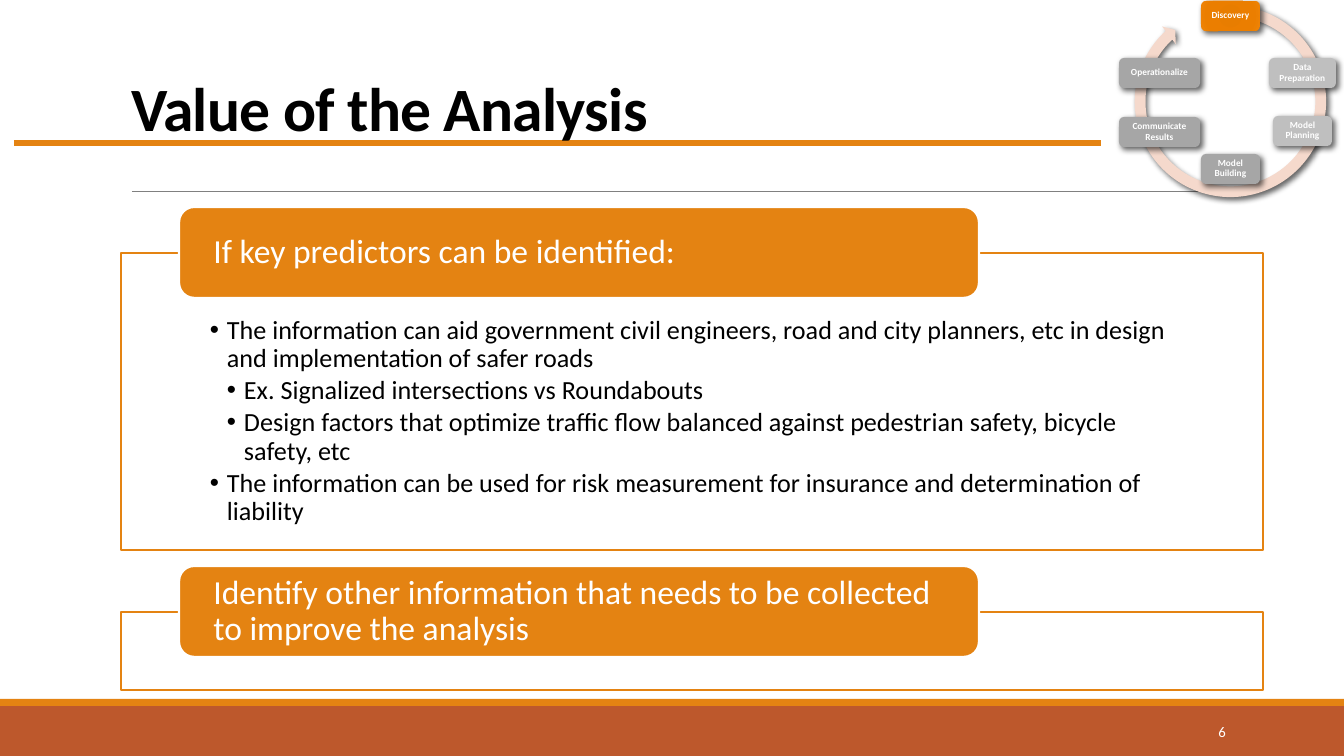
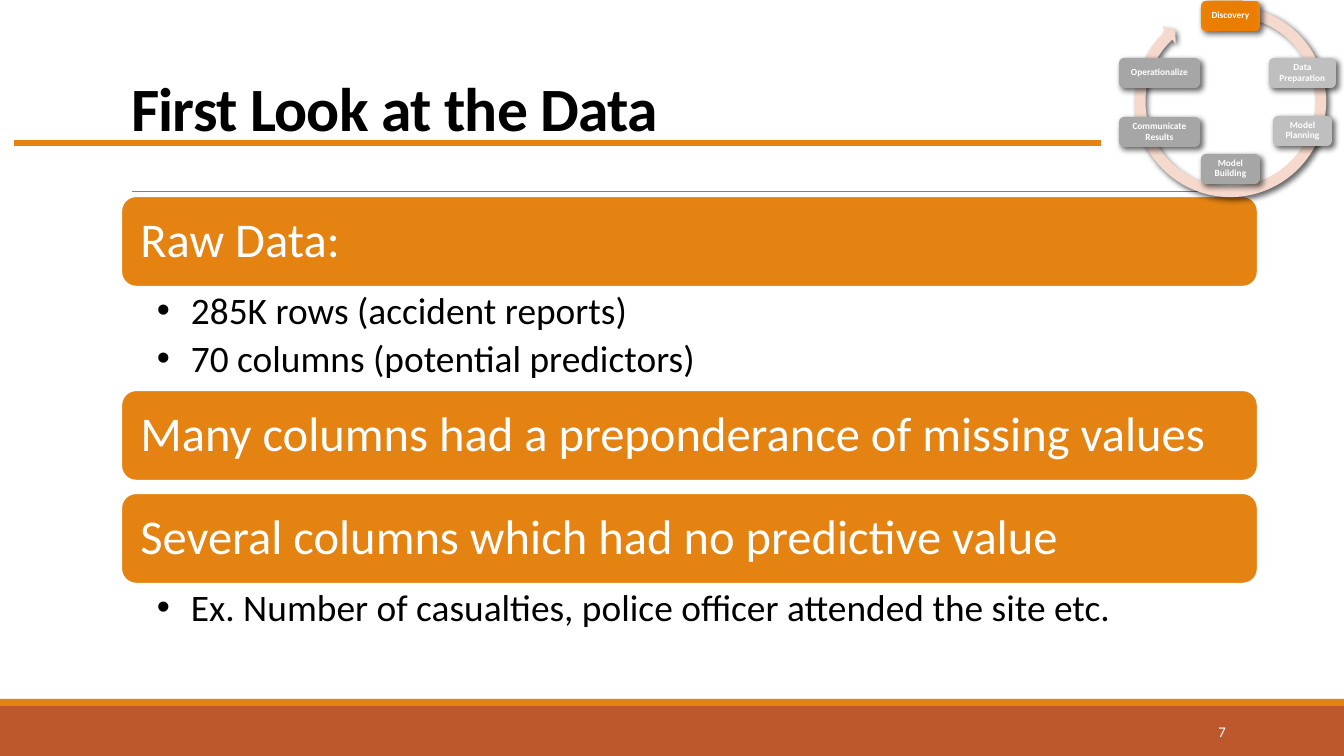
from dataclasses import dataclass
from typing import NamedTuple

from lxml import etree
from pptx import Presentation
from pptx.dml.color import RGBColor
from pptx.enum.shapes import MSO_CONNECTOR, MSO_SHAPE
from pptx.enum.text import MSO_ANCHOR, PP_ALIGN
from pptx.oxml import parse_xml
from pptx.oxml.ns import nsdecls, qn
from pptx.util import Pt

RECT = MSO_SHAPE.RECTANGLE
ROUND_RECT = MSO_SHAPE.ROUNDED_RECTANGLE
CIRCULAR_ARROW = MSO_SHAPE.CIRCULAR_ARROW
STRAIGHT = MSO_CONNECTOR.STRAIGHT
TOP, MIDDLE = MSO_ANCHOR.TOP, MSO_ANCHOR.MIDDLE
LEFT, CENTER, RIGHT = PP_ALIGN.LEFT, PP_ALIGN.CENTER, PP_ALIGN.RIGHT

SLIDE_W, SLIDE_H = 1344, 756
SCALE = 9144000 / SLIDE_W
FONT = "Calibri"
COLORS = {
    "accent": "E48312",
    "band": "BD582C",
    "rule": "808080",
    "black": "000000",
    "white": "FFFFFF",
    "ring": "F5D9CC",
    "active": "E87D00",
    "next": "BFBFBF",
    "later": "A6A6A6",
}
ACTIVE_STOPS = ((0, "E57B00"), (34, "E87D00"), (70, "EB7E00"), (100, "EF8407"))


class Box(NamedTuple):
    left: int
    top: int
    width: int
    height: int


class Insets(NamedTuple):
    left: int
    top: int
    right: int
    bottom: int


class Rule(NamedTuple):
    start: int
    end: int
    y: int
    color: str
    weight: float


class Node(NamedTuple):
    text: str
    box: Box
    color: str


@dataclass(frozen=True)
class TextStyle:
    size: float
    color: str
    insets: Insets
    anchor: MSO_ANCHOR = MIDDLE
    align: PP_ALIGN = LEFT
    bold: bool = False
    line_spacing: float = 0.9
    space_after: int = 0
    tracking: int = 0
    hang: int = 0


class Item(NamedTuple):
    text: str
    level: int = 0


@dataclass(frozen=True)
class Panel:
    heading: str
    top: int
    height: int
    items: tuple[Item, ...] = ()


@dataclass(frozen=True)
class Section:
    heading: str
    space_below: int
    items: tuple[Item, ...] = ()


FRAME_INSETS = Insets(10, 5, 10, 5)
TITLE = TextStyle(33, "black", FRAME_INSETS, bold=True, tracking=-40)
NUMBER = TextStyle(7.9, "white", FRAME_INSETS, align=RIGHT, line_spacing=1)
NODE = TextStyle(5, "white", Insets(3, 3, 3, 3), align=CENTER, bold=True)
PANEL_HEADING = TextStyle(18, "white", Insets(30, 0, 30, 0))
PANEL_BODY = TextStyle(14, "black", Insets(89, 64, 89, 15), TOP,
                       space_after=2, hang=17)
BAR = TextStyle(26, "white", Insets(15, 15, 15, 15))
BAR_BODY = TextStyle(20, "black", Insets(36, 5, 27, 5), TOP,
                     space_after=4, hang=34)

BANDS = (
    (Box(0, 706, SLIDE_W, 50), "band"),
    (Box(0, 699, SLIDE_W, 7), "accent"),
)
RULES = (
    Rule(132, 1230, 192, "rule", 0.5),
    Rule(14, 1101, 143, "accent", 3),
)
TITLE_BOX = Box(121, 32, 1109, 160)
NUMBER_BOX = Box(1091, 712, 145, 40)
RING_BOX = Box(1129, 0, 203, 203)
RING_ROTATION = 343.2
RING_ADJUSTMENTS = (0.053, 3.126, 146.344, 168.929, 0.055)
NODES = (
    Node("Discovery", Box(1201, 1, 59, 30), "active"),
    Node("Data Preparation", Box(1269, 58, 67, 30), "next"),
    Node("Model Planning", Box(1273, 116, 59, 30), "next"),
    Node("Model Building", Box(1201, 154, 59, 30), "later"),
    Node("Communicate Results", Box(1119, 117, 81, 30), "later"),
    Node("Operationalize", Box(1119, 58, 81, 30), "later"),
)
CONTENT_LEFT = 121
PANEL_W, BAR_W, BAR_H = 1142, 1137, 91
HEADING_LEFT, HEADING_W, HEADING_RISE = 179, 800, 46
FIRST_BAR_TOP = 196

PANELS = (
    Panel("If key predictors can be identified:", 253, 297, (
        Item("The information can aid government civil engineers, road and "
             "city planners, etc in design and implementation of safer roads"),
        Item("Ex. Signalized intersections vs Roundabouts", 1),
        Item("Design factors that optimize traffic flow balanced against "
             "pedestrian safety, bicycle safety, etc", 1),
        Item("The information can be used for risk measurement for insurance "
             "and determination of liability"),
    )),
    Panel("Identify other information that needs to be collected to improve "
          "the analysis", 612, 78),
)
SECTIONS = (
    Section("Raw Data:", 103, (
        Item("285K rows (accident reports)"),
        Item("70 columns (potential predictors)"),
    )),
    Section("Many columns had a preponderance of missing values", 12),
    Section("Several columns which had no predictive value", 63, (
        Item("Ex. Number of casualties, police officer attended the site etc."),
    )),
)


def px(value: int) -> int:
    return round(value * SCALE)


def emu(box: Box) -> tuple[int, ...]:
    return tuple(px(v) for v in box)


def rgb(color: str) -> RGBColor:
    return RGBColor.from_string(COLORS[color])


def write(sp, items: tuple[Item, ...], style: TextStyle) -> None:
    tf = sp.text_frame
    tf.word_wrap = True
    tf.vertical_anchor = style.anchor
    (tf.margin_left, tf.margin_top,
     tf.margin_right, tf.margin_bottom) = emu(style.insets)
    for i, item in enumerate(items):
        p = tf.add_paragraph() if i else tf.paragraphs[0]
        p.alignment = style.align
        p.line_spacing = style.line_spacing
        p.space_after = Pt(style.space_after)
        if style.hang:
            p.level = item.level + 1
            pPr = p._p.get_or_add_pPr()
            pPr.set("marL", str(px(style.hang * (item.level + 1))))
            pPr.set("indent", str(-px(style.hang)))
            etree.SubElement(pPr, qn("a:buFont"), typeface="Arial")
            etree.SubElement(pPr, qn("a:buChar"), char="•")
        r = p.add_run()
        r.text = item.text
        r.font.name = FONT
        r.font.size = Pt(style.size)
        r.font.bold = style.bold
        r.font.color.rgb = rgb(style.color)
        if style.tracking:
            r._r.get_or_add_rPr().set("spc", str(style.tracking))


def add_text(s, box: Box, items: tuple[Item, ...], style: TextStyle) -> None:
    write(s.shapes.add_textbox(*emu(box)), items, style)


def add_box(s, kind: MSO_SHAPE, box: Box, fill: str, line: str = ""):
    sp = s.shapes.add_shape(kind, *emu(box))
    sp.shadow.inherit = False
    sp.fill.solid()
    sp.fill.fore_color.rgb = rgb(fill)
    if line:
        sp.line.color.rgb = rgb(line)
        sp.line.width = Pt(1.25)
    else:
        sp.line.fill.background()
    return sp


def add_shadow(sp) -> None:
    effects = sp._element.spPr.find(qn("a:effectLst"))
    effects.append(parse_xml(
        f'<a:outerShdw {nsdecls("a")} blurRad="{Pt(3)}" dist="{Pt(2)}" '
        'dir="2700000" algn="tl" rotWithShape="0">'
        f'<a:srgbClr val="{COLORS["black"]}"><a:alpha val="60000"/></a:srgbClr>'
        '</a:outerShdw>'))


def add_glow_fill(sp) -> None:
    stops = "".join(
        f'<a:gs pos="{pos * 1000}"><a:srgbClr val="{color}"/></a:gs>'
        for pos, color in ACTIVE_STOPS)
    spPr = sp._element.spPr
    spPr.replace(spPr.find(qn("a:solidFill")), parse_xml(
        f'<a:gradFill {nsdecls("a")}><a:gsLst>{stops}</a:gsLst>'
        '<a:path path="circle"><a:fillToRect l="100000" t="100000" '
        'r="100000" b="100000"/></a:path></a:gradFill>'))


def add_rule(s, rule: Rule) -> None:
    c = s.shapes.add_connector(STRAIGHT, px(rule.start), px(rule.y),
                               px(rule.end), px(rule.y))
    c.line.color.rgb = rgb(rule.color)
    c.line.width = Pt(rule.weight)
    etree.SubElement(c._element.spPr, qn("a:effectLst"))


def add_cycle(s) -> None:
    ring = add_box(s, CIRCULAR_ARROW, RING_BOX, "ring")
    ring.rotation = RING_ROTATION
    for i, value in enumerate(RING_ADJUSTMENTS):
        ring.adjustments[i] = value
    add_shadow(ring)
    for node in NODES:
        sp = add_box(s, ROUND_RECT, node.box, node.color)
        if node.color == "active":
            add_glow_fill(sp)
        add_shadow(sp)
        write(sp, (Item(node.text),), NODE)


def add_panels(s) -> None:
    for panel in PANELS:
        body = add_box(s, RECT, Box(CONTENT_LEFT, panel.top, PANEL_W,
                                    panel.height), "white", "accent")
        clr = body._element.spPr.find(qn("a:solidFill"))[0]
        etree.SubElement(clr, qn("a:alpha"), val="90000")
        write(body, panel.items, PANEL_BODY)
        heading = add_box(s, ROUND_RECT,
                          Box(HEADING_LEFT, panel.top - HEADING_RISE,
                              HEADING_W, BAR_H), "accent", "white")
        write(heading, (Item(panel.heading),), PANEL_HEADING)


def add_sections(s) -> None:
    top = FIRST_BAR_TOP
    for section in SECTIONS:
        bar = add_box(s, ROUND_RECT, Box(CONTENT_LEFT, top, BAR_W, BAR_H),
                      "accent", "white")
        write(bar, (Item(section.heading),), BAR)
        top += BAR_H
        if section.items:
            add_text(s, Box(CONTENT_LEFT, top, BAR_W, section.space_below),
                     section.items, BAR_BODY)
        top += section.space_below


def main() -> None:
    prs = Presentation()
    prs.slide_width, prs.slide_height = px(SLIDE_W), px(SLIDE_H)
    pages = (
        ("Value of the Analysis", "6", add_panels),
        ("First Look at the Data", "7", add_sections),
    )
    for title, number, add_content in pages:
        s = prs.slides.add_slide(prs.slide_layouts[6])
        for box, color in BANDS:
            add_box(s, RECT, box, color)
        for rule in RULES:
            add_rule(s, rule)
        add_text(s, TITLE_BOX, (Item(title),), TITLE)
        add_content(s)
        add_text(s, NUMBER_BOX, (Item(number),), NUMBER)
        add_cycle(s)
    prs.save("out.pptx")


if __name__ == "__main__":
    main()
